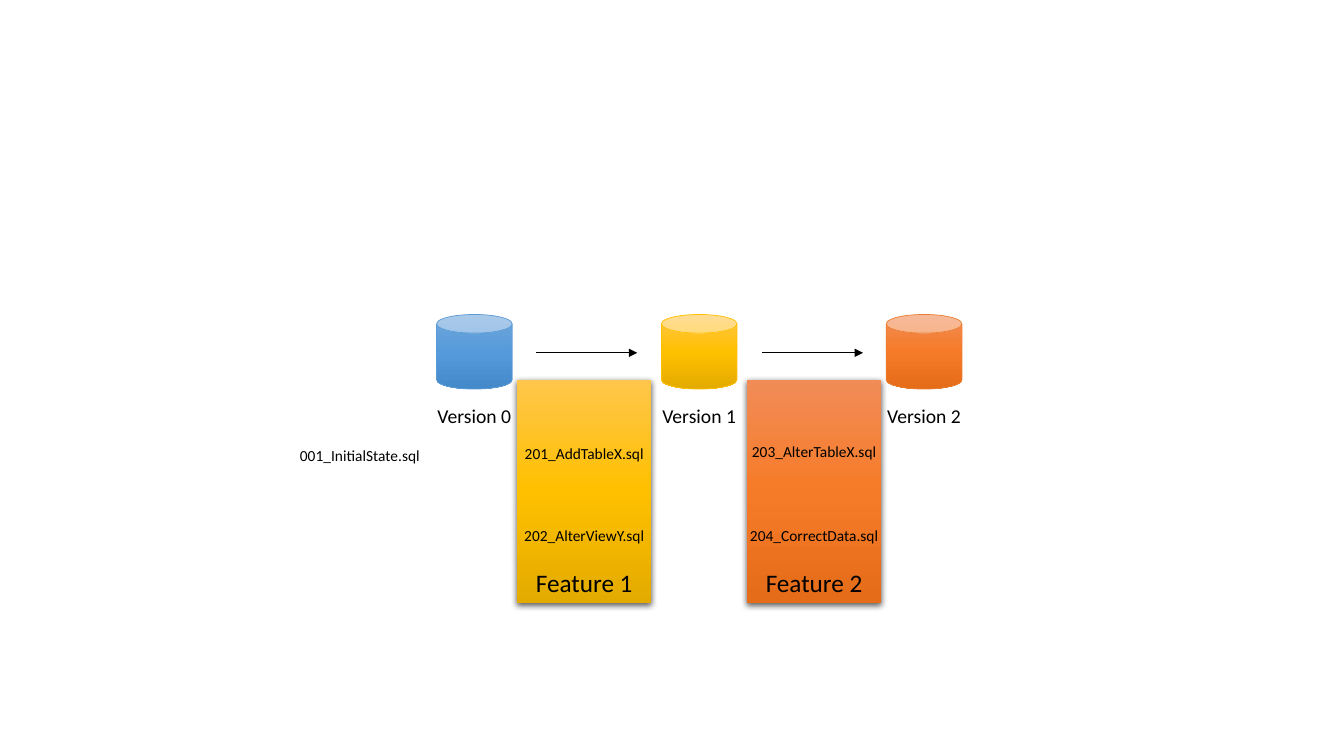
from lxml.etree import SubElement
from pptx import Presentation
from pptx.dml.color import RGBColor
from pptx.enum.shapes import MSO_CONNECTOR as CONNECTOR, MSO_SHAPE as SHAPE
from pptx.enum.text import MSO_ANCHOR as ANCHOR, MSO_AUTO_SIZE as AUTO_SIZE, PP_ALIGN as ALIGN
from pptx.oxml.ns import qn
from pptx.util import Inches, Pt

BLUE = ("71A6DB", "559BDB", "448ACA")
GOLD = ("FFC64B", "FFC000", "E3AB00")
ORANGE = ("F18C57", "F67B28", "E56C19")
BLACK = "000000"

VERSIONS = [("Version 0", BLUE, "5B9BD5"), ("Version 1", GOLD, "FFC000"),
            ("Version 2", ORANGE, "ED7D31")]
FEATURES = [("Feature 1", GOLD, [("201_AddTableX.sql", 0.59), ("202_AlterViewY.sql", 1.4)]),
            ("Feature 2", ORANGE, [("203_AlterTableX.sql", 0.57), ("204_CorrectData.sql", 1.4)])]
VERSION_LEFT, VERSION_TOP, VERSION_PITCH = 4.33, 3.12, 2.23
FEATURE_LEFT, FEATURE_TOP, FEATURE_PITCH = 5.13, 3.77, 2.28
ARROW_LEFT, ARROW_PITCH = 5.32, 2.24
CAN_WIDTH, CAN_HEIGHT = 0.75, 0.74
FEATURE_WIDTH, FEATURE_HEIGHT = 1.33, 2.21


def color(value):
    return RGBColor.from_string(value)


def add_node(parent, tag, **attributes):
    return SubElement(parent, qn(tag), {name: str(value) for name, value in attributes.items()})


def write(shape, text, size, **frame_format):
    frame = shape.text_frame
    for name, value in frame_format.items():
        setattr(frame, name, value)
    para = frame.paragraphs[0]
    para.alignment = ALIGN.CENTER
    span = para.add_run()
    span.text = text
    for name, value in {"name": "Calibri", "size": Pt(size)}.items():
        setattr(span.font, name, value)
    span.font.color.rgb = color(BLACK)


def add_label(page, text, size, center, top, width, height, wrap=True):
    box = page.shapes.add_textbox(*map(Inches, (center - width / 2, top, width, height)))
    write(box, text, size, word_wrap=wrap, auto_size=AUTO_SIZE.SHAPE_TO_FIT_TEXT)


def add_gradient_shape(page, kind, box, colors):
    shape = page.shapes.add_shape(kind, *map(Inches, box))
    shape.shadow.inherit = False
    shape.fill.gradient()
    shape.fill.gradient_angle = 270
    stops = shape.element.spPr.find(".//" + qn("a:gsLst"))
    for stop in list(stops):
        stops.remove(stop)
    for index, value in enumerate(colors):
        stop = add_node(stops, "a:gs", pos=index * 50000)
        add_node(stop, "a:srgbClr", val=value)
    return shape


def add_feature(page, left, top, title, colors):
    box = (left, top, FEATURE_WIDTH, FEATURE_HEIGHT)
    panel = add_gradient_shape(page, SHAPE.RECTANGLE, box, colors)
    panel.line.fill.background()
    effects = panel.element.spPr.find(qn("a:effectLst"))
    shadow = add_node(effects, "a:outerShdw", blurRad=Pt(4.5), dist=Pt(1.5),
                      dir=5400000, algn="ctr", rotWithShape=0)
    tint = add_node(shadow, "a:srgbClr", val=BLACK)
    add_node(tint, "a:alpha", val=63000)
    write(panel, title, 18, vertical_anchor=ANCHOR.BOTTOM)


def add_scripts(page, left, top, scripts):
    for text, offset in scripts:
        add_label(page, text, 11, left + FEATURE_WIDTH / 2, top + offset, 1.74, 0.29)


def add_version(page, left, top, title, colors, outline):
    can = add_gradient_shape(page, SHAPE.CAN, (left, top, CAN_WIDTH, CAN_HEIGHT), colors)
    can.line.color.rgb = color(outline)
    can.line.width = Pt(0.5)
    add_label(page, title, 14, left + CAN_WIDTH / 2, top + 0.84, 0.94, 0.34, wrap=False)


def add_arrow(page, left, middle):
    arrow = page.shapes.add_connector(
        CONNECTOR.STRAIGHT, *map(Inches, (left, middle, left + 1, middle)))
    arrow.line.color.rgb = color(BLACK)
    arrow.line.width = Pt(0.5)
    add_node(arrow.line._get_or_add_ln(), "a:tailEnd", type="triangle")
    add_node(arrow.element.spPr, "a:effectLst")


def main():
    deck = Presentation()
    deck.slide_width, deck.slide_height = Inches(13.33), Inches(7.5)
    page = deck.slides.add_slide(deck.slide_layouts[6])
    feature_lefts = [FEATURE_LEFT + index * FEATURE_PITCH for index in range(len(FEATURES))]

    for left, (title, colors, _) in zip(feature_lefts, FEATURES):
        add_feature(page, left, FEATURE_TOP, title, colors)
    for index, version in enumerate(VERSIONS):
        add_version(page, VERSION_LEFT + index * VERSION_PITCH, VERSION_TOP, *version)
    for index, (left, (_, _, scripts)) in enumerate(zip(feature_lefts, FEATURES)):
        add_arrow(page, ARROW_LEFT + index * ARROW_PITCH, 3.5)
        add_scripts(page, left, FEATURE_TOP, scripts)
    add_label(page, "001_InitialState.sql", 11, 3.57, 4.38, 1.52, 0.29)

    deck.save("out.pptx")


if __name__ == "__main__":
    main()
